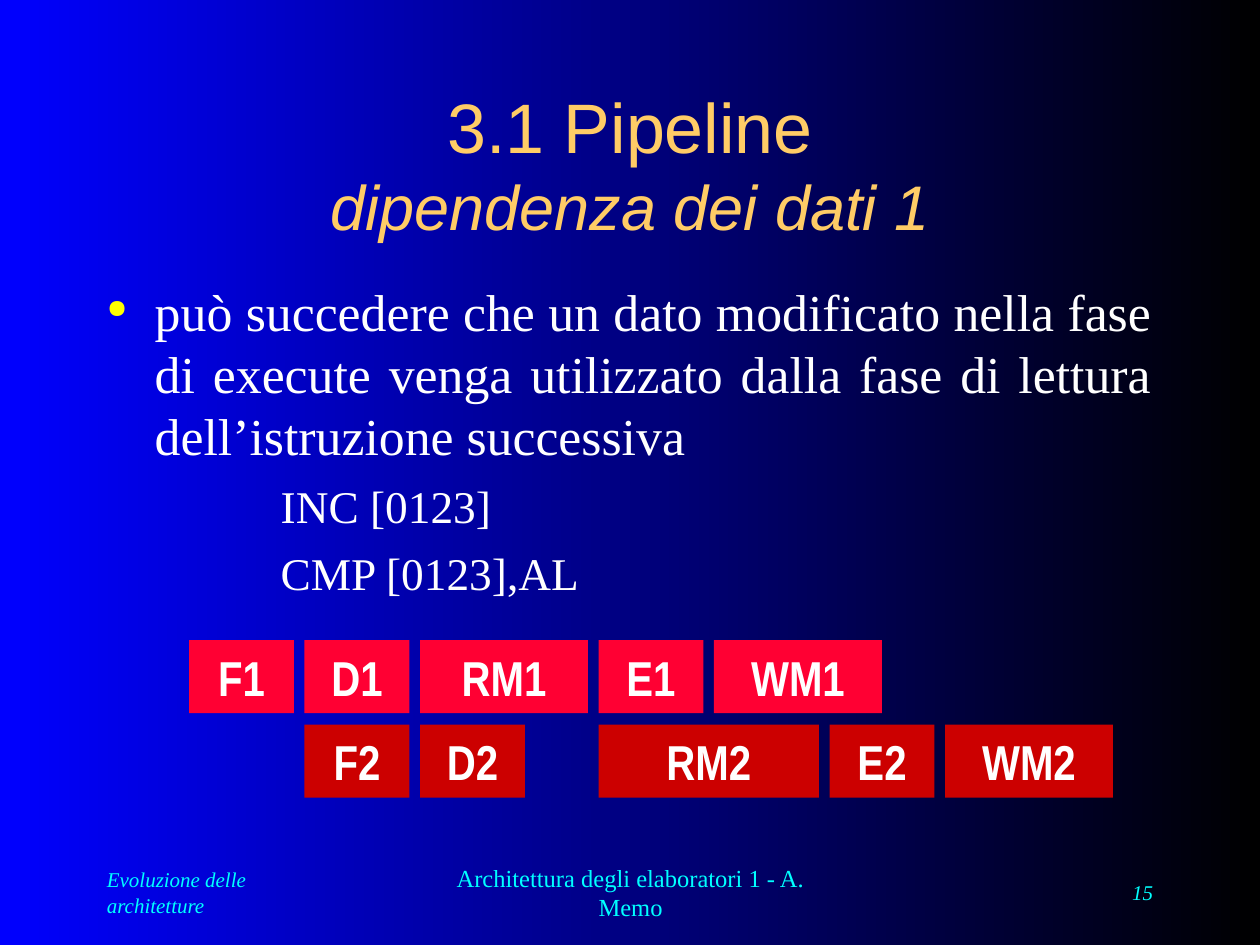
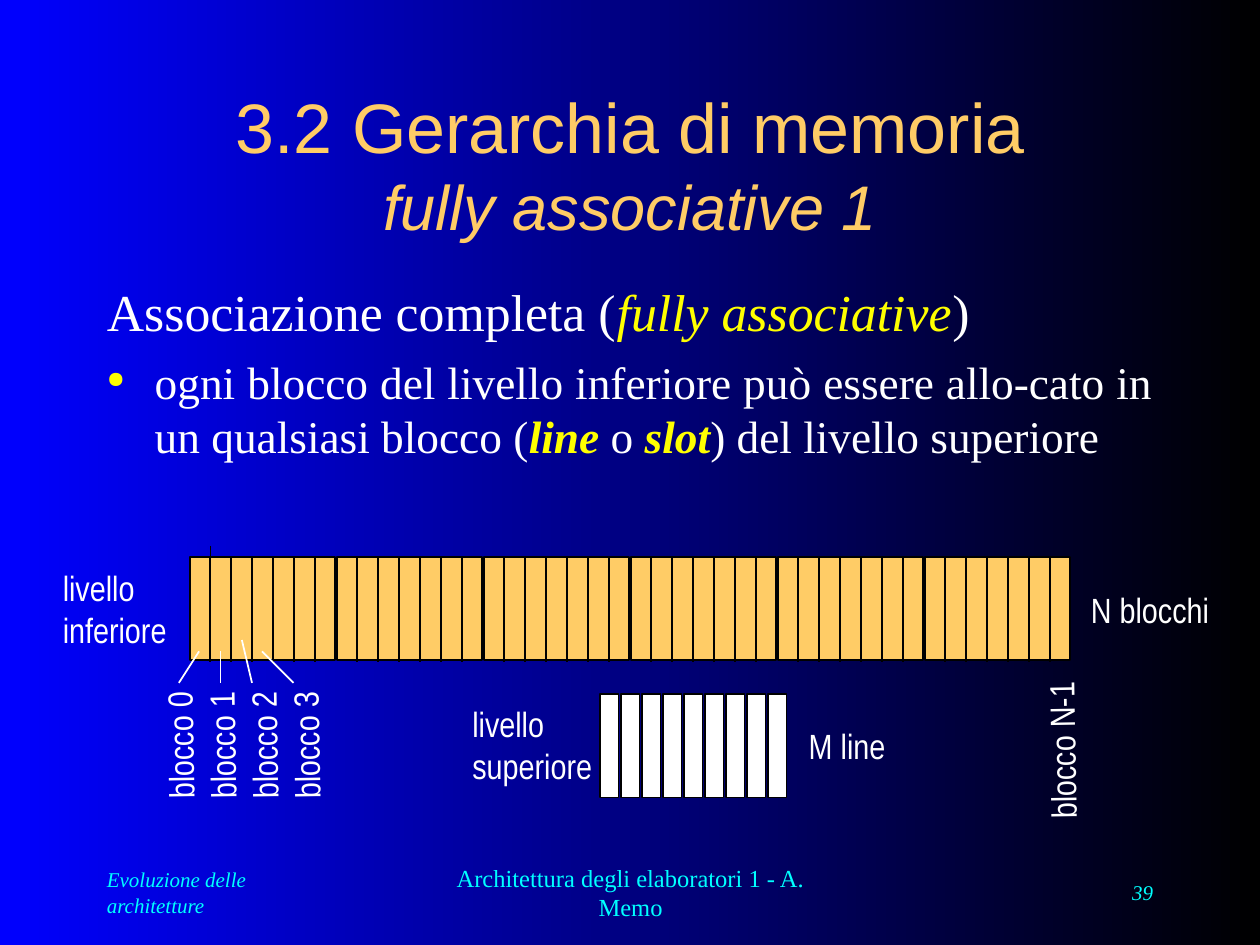
from lxml import etree
from pptx import Presentation
from pptx.dml.color import RGBColor
from pptx.enum.shapes import MSO_CONNECTOR, MSO_SHAPE
from pptx.enum.text import MSO_ANCHOR, MSO_AUTO_SIZE, PP_ALIGN
from pptx.oxml.ns import qn
from pptx.util import Inches, Pt

BLUE, BLACK, WHITE = "0000FF", "000000", "FFFFFF"
GOLD, YELLOW, CYAN = "FFCC66", "FFFF00", "00FFFF"
BRIGHT_RED, DARK_RED = "FF0033", "CC0000"

TITLE = {"name": "Arial", "size": 40, "color": GOLD}
SUBTITLE = {**TITLE, "size": 36, "italic": True}
BODY = {"name": "Times New Roman", "size": 29.6, "color": WHITE}
SMALL_BODY = {**BODY, "size": 25.9}
FOOTER = {"name": "Times New Roman", "size": 14, "color": CYAN}
FOOTER_SIDE = {**FOOTER, "size": 12, "italic": True}
LABEL = {"name": "Arial Narrow", "size": 20, "color": WHITE}
STAGE = {**LABEL, "size": 28, "bold": True}

TWELFTH = 1 / 12
CELL = 1 / 6


def rgb(color):
    """Turn a hex string into a colour."""
    return RGBColor.from_string(color)


def add_run(paragraph, text, style):
    """Add one run whose font follows a style dict."""
    run = paragraph.add_run()
    run.text = text
    for attribute, value in style.items():
        if attribute == "color":
            run.font.color.rgb = rgb(value)
        else:
            setattr(run.font, attribute, Pt(value) if attribute == "size" else value)


def set_frame(frame, **options):
    """Apply text frame options."""
    for attribute, value in options.items():
        setattr(frame, attribute, value)


def add_text_box(slide, box, lines, style, alignment=PP_ALIGN.LEFT, **options):
    """Add a text box with one paragraph per line and return it."""
    text_box = slide.shapes.add_textbox(*map(Inches, box))
    frame = text_box.text_frame
    set_frame(frame, **options)
    for index, line in enumerate(lines):
        paragraph = frame.add_paragraph() if index else frame.paragraphs[0]
        paragraph.alignment = alignment
        add_run(paragraph, line, style)
    return text_box


def add_title(slide, title, subtitle):
    """Add the two-line slide title."""
    box = add_text_box(slide, (0.75, 0.67, 8.5, 1.25), [title], TITLE, PP_ALIGN.CENTER,
                       word_wrap=True, vertical_anchor=MSO_ANCHOR.MIDDLE)
    paragraph = box.text_frame.paragraphs[0]
    paragraph.add_line_break()
    add_run(paragraph, subtitle, SUBTITLE)


def add_footers(slide, number):
    """Add the three footer texts."""
    footers = [
        (0.75, 2.08, "Evoluzione delle architetture", FOOTER_SIDE, PP_ALIGN.LEFT),
        (3.42, 3.17, "Architettura degli elaboratori 1 - A. Memo", FOOTER, PP_ALIGN.CENTER),
        (7.17, 2.08, str(number), FOOTER_SIDE, PP_ALIGN.RIGHT),
    ]
    for left, width, text, style, alignment in footers:
        add_text_box(slide, (left, 6.83, width, 0.5), [text], style, alignment,
                     word_wrap=False, vertical_anchor=MSO_ANCHOR.MIDDLE)


def add_slide(presentation, title, subtitle, number):
    """Add a slide with the shared background, title and footers."""
    slide = presentation.slides.add_slide(presentation.slide_layouts[6])
    fill = slide.background.fill
    fill.gradient()
    fill.gradient_angle = 0
    for stop, color, position in zip(fill.gradient_stops, (BLUE, BLACK), (0, 1)):
        stop.color.rgb = rgb(color)
        stop.position = position
    add_title(slide, title, subtitle)
    add_footers(slide, number)
    return slide


def set_indent(paragraph, left, first, bullet=False):
    """Set the indents of a paragraph and, if asked, its yellow bullet."""
    properties = paragraph._p.get_or_add_pPr()
    properties.set("marL", str(Inches(left)))
    properties.set("indent", str(Inches(first)))
    if bullet:
        color = etree.SubElement(properties, qn("a:buClr"))
        etree.SubElement(color, qn("a:srgbClr"), val=YELLOW)
        etree.SubElement(properties, qn("a:buSzPct"), val="50000")
        etree.SubElement(properties, qn("a:buChar"), char="●")
    else:
        etree.SubElement(properties, qn("a:buNone"))


def add_body(slide, height, paragraphs):
    """Add justified body text from (left, first, bullet, runs) entries."""
    box = slide.shapes.add_textbox(*map(Inches, (0.75, 2.17, 8.5, height)))
    frame = box.text_frame
    frame.word_wrap = True
    for index, (left, first, bullet, runs) in enumerate(paragraphs):
        paragraph = frame.add_paragraph() if index else frame.paragraphs[0]
        set_indent(paragraph, left, first, bullet)
        paragraph.alignment = PP_ALIGN.JUSTIFY
        paragraph.space_before = Pt(7 if index else 0)
        for text, style in runs:
            add_run(paragraph, text, style)


def add_rectangle(slide, box, fill, line=None):
    """Add a flat rectangle and return it."""
    shape = slide.shapes.add_shape(MSO_SHAPE.RECTANGLE, *map(Inches, box))
    shape.shadow.inherit = False
    shape.fill.solid()
    shape.fill.fore_color.rgb = rgb(fill)
    if line:
        shape.line.color.rgb = rgb(line)
        shape.line.width = Pt(1)
    else:
        shape.line.fill.background()
    return shape


def add_line(slide, start, end, color):
    """Add a straight one-point line."""
    line = slide.shapes.add_connector(MSO_CONNECTOR.STRAIGHT, *map(Inches, (*start, *end)))
    line.line.color.rgb = rgb(color)
    line.line.width = Pt(1)
    etree.SubElement(line._element.spPr, qn("a:effectLst"))


def add_label(slide, box, *lines, rotation=0):
    """Add a diagram label that fits its text."""
    label = add_text_box(slide, box, lines, LABEL, word_wrap=False,
                         auto_size=MSO_AUTO_SIZE.SHAPE_TO_FIT_TEXT)
    label.rotation = rotation


def add_pipeline_row(slide, start, top, fill, stages):
    """Add one instruction's stages, measured in twelfths of an inch; None is a stall."""
    for name, width in stages:
        if name:
            box = (start * TWELFTH, top, width * TWELFTH, 0.58)
            frame = add_rectangle(slide, box, fill).text_frame
            set_frame(frame, word_wrap=False, vertical_anchor=MSO_ANCHOR.MIDDLE)
            frame.paragraphs[0].alignment = PP_ALIGN.CENTER
            add_run(frame.paragraphs[0], name, STAGE)
        start += width + 1


def add_lower_level(slide):
    """Add the long memory bar: six groups of seven blocks."""
    for group in range(6):
        left = 1.5 + group * 7 * CELL
        add_rectangle(slide, (left + 0.01, 4.42, 1.15, 0.82), GOLD, BLACK)
        for block in range(1, 7):
            divider = left + block * CELL
            add_line(slide, (divider, 4.42), (divider, 5.25), BLACK)
    add_line(slide, (1.67, 4.33), (1.67, 5.17), BLACK)
    add_label(slide, (0.4, 4.45, 1.03, 0.77), "livello", "inferiore")
    add_label(slide, (8.56, 4.62, 1.14, 0.43), "N blocchi")


def add_upper_level(slide):
    """Add the nine lines of the upper level."""
    for slot in range(9):
        add_rectangle(slide, (4.76 + slot * CELL, 5.51, 0.15, 0.82), WHITE, BLACK)
    add_label(slide, (3.65, 5.53, 1.15, 0.77), "livello", "superiore")
    add_label(slide, (6.32, 5.7, 0.81, 0.43), "M line")


def add_block_names(slide):
    """Add the upright block names and their pointers."""
    pointers = [(1.42, 1.58, 5.17), (1.75, 1.75, 5.17), (2, 1.92, 5.08), (2.33, 2.08, 5.17)]
    for block, (bottom_x, top_x, top_y) in enumerate(pointers):
        add_label(slide, (0.9 + block / 3, 5.7, 1.05, 0.43), f"blocco {block}", rotation=269)
        add_line(slide, (bottom_x, 5.42), (top_x, top_y), WHITE)
    add_label(slide, (7.78, 5.74, 1.29, 0.43), "blocco N-1", rotation=269)


def build_pipeline_slide(presentation):
    """Build the data dependency slide."""
    slide = add_slide(presentation, "3.1 Pipeline", "dipendenza dei dati 1", 15)
    add_body(slide, 2.75, [
        (0.38, -0.38, True, [(
            "può succedere che un dato modificato nella fase di execute venga utilizzato "
            "dalla fase di lettura dell’istruzione successiva", BODY)]),
        (1.38, 0, False, [("INC [0123]", SMALL_BODY)]),
        (1.38, 0, False, [("CMP [0123],AL", SMALL_BODY)]),
    ])
    add_pipeline_row(slide, 18, 5.08, BRIGHT_RED, [
        ("F1", 10), ("D1", 10), ("RM1", 16), ("E1", 10), ("WM1", 16)])
    add_pipeline_row(slide, 29, 5.75, DARK_RED, [
        ("F2", 10), ("D2", 10), (None, 5), ("RM2", 21), ("E2", 10), ("WM2", 16)])


def build_memory_slide(presentation):
    """Build the fully associative memory slide."""
    slide = add_slide(presentation, "3.2 Gerarchia di memoria", "fully associative 1", 39)
    term = {**BODY, "color": YELLOW, "italic": True}
    small_term = {**SMALL_BODY, "color": YELLOW, "italic": True, "bold": True}
    add_body(slide, 2.08, [
        (0.38, -0.38, False, [
            ("Associazione completa (", BODY), ("fully associative", term), (")", BODY)]),
        (0.38, -0.38, True, [
            ("ogni blocco del livello inferiore può essere allo-cato in un qualsiasi blocco (",
             SMALL_BODY),
            ("line", small_term), (" o ", SMALL_BODY), ("slot", small_term),
            (") del livello superiore", SMALL_BODY)]),
    ])
    add_lower_level(slide)
    add_upper_level(slide)
    add_block_names(slide)


def main():
    """Build and save the presentation."""
    presentation = Presentation()
    presentation.slide_width = Inches(10)
    presentation.slide_height = Inches(7.5)
    build_pipeline_slide(presentation)
    build_memory_slide(presentation)
    presentation.save("out.pptx")


if __name__ == "__main__":
    main()
